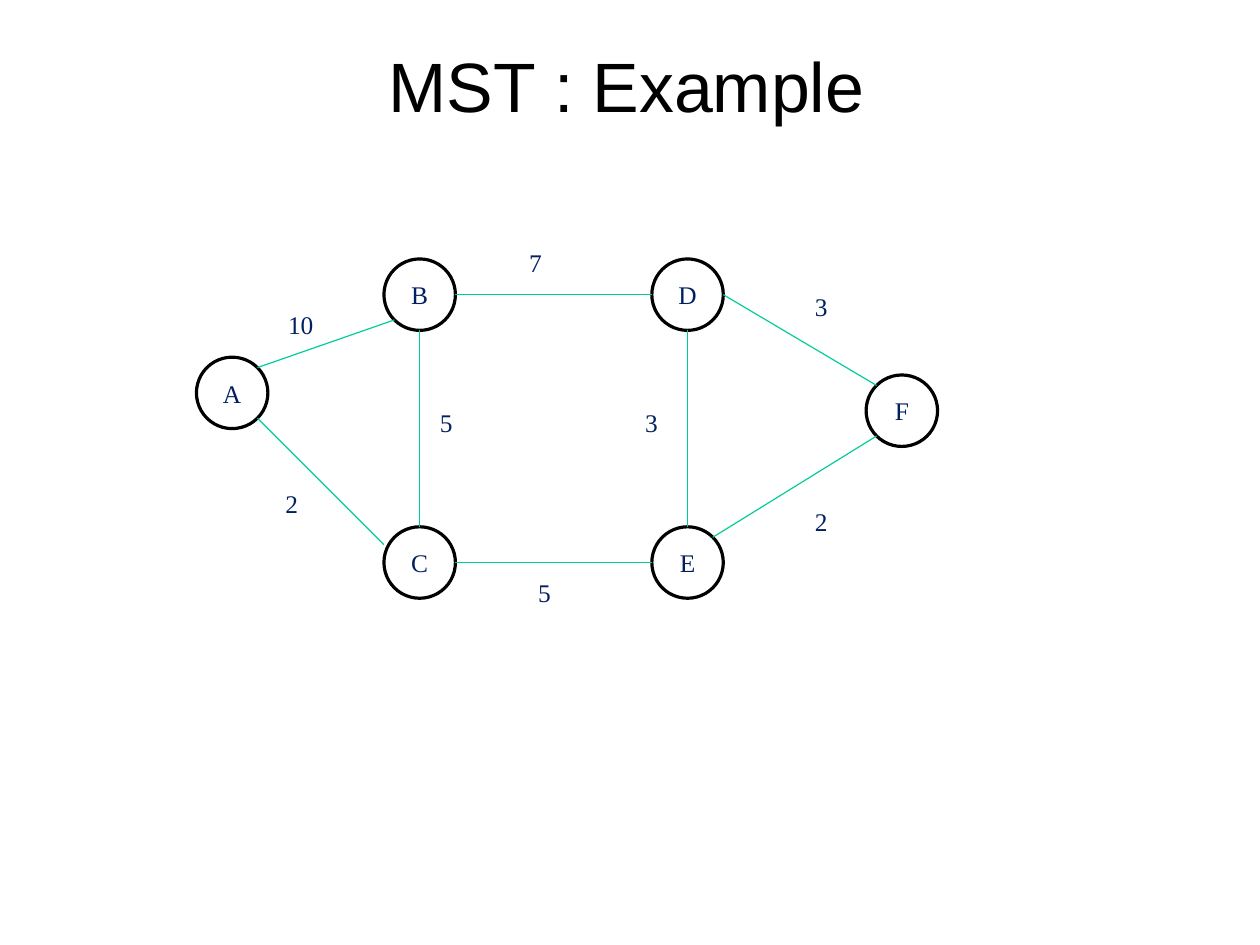
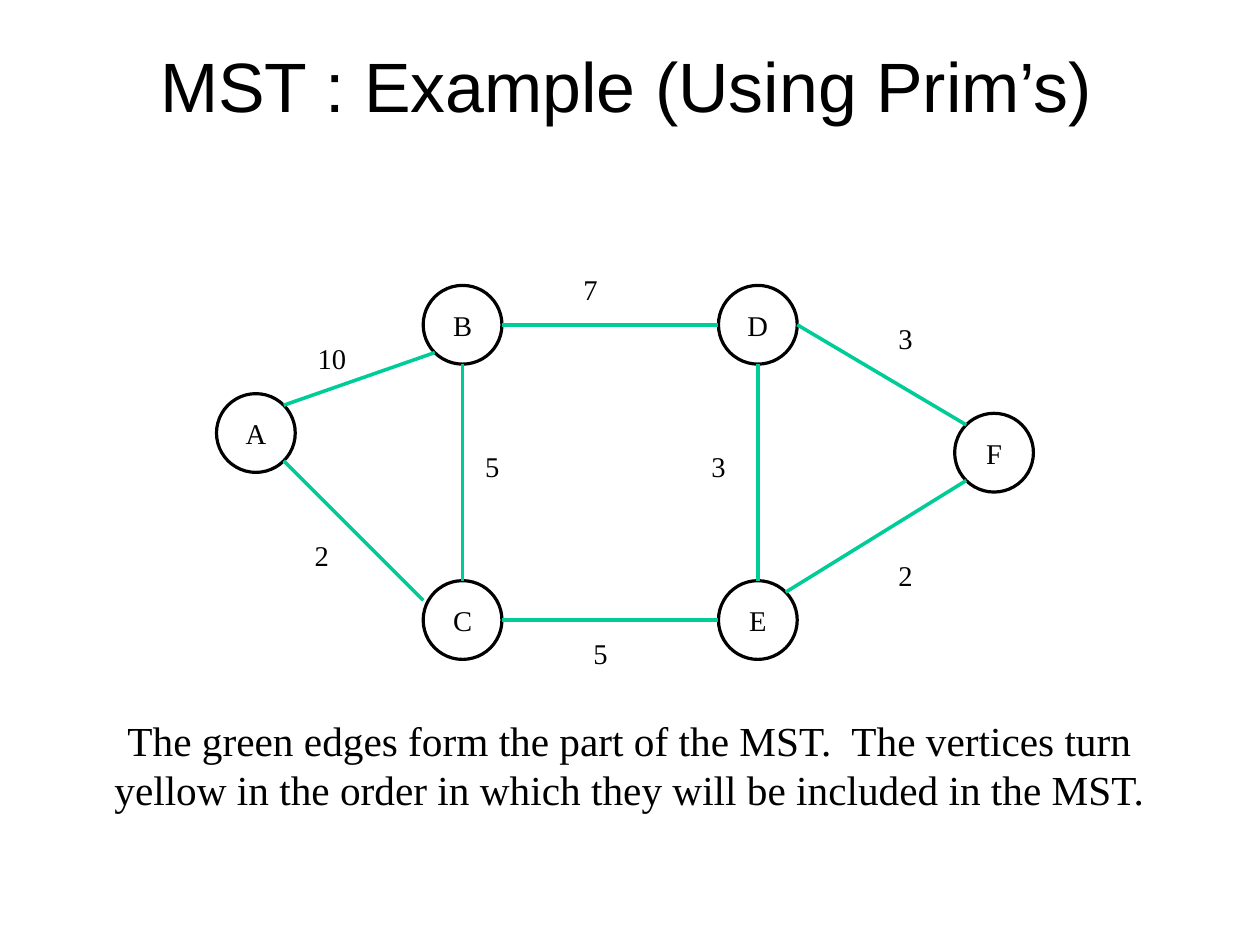
from dataclasses import dataclass
from math import sqrt
from lxml.etree import SubElement
from pptx import Presentation
from pptx.dml.color import RGBColor
from pptx.enum.shapes import MSO_CONNECTOR, MSO_SHAPE
from pptx.enum.text import MSO_ANCHOR, MSO_AUTO_SIZE, PP_ALIGN
from pptx.oxml.ns import qn
from pptx.util import Pt


@dataclass(frozen=True)
class Theme:
    black: RGBColor = RGBColor.from_string("000000")
    white: RGBColor = RGBColor.from_string("FFFFFF")
    navy: RGBColor = RGBColor.from_string("002060")
    green: RGBColor = RGBColor.from_string("00CC98")
    heading_font: str = "Arial"
    text_font: str = "Times New Roman"
    title_size: int = 44
    caption_size: int = 26
    small_graph_size: int = 16
    large_graph_size: int = 18
    vertex_outline: int = 2


theme = Theme()


def write(frame, text, *, size, color=theme.black, font=theme.text_font,
          align=PP_ALIGN.LEFT, anchor=MSO_ANCHOR.TOP, inset=(7.2, 3.6)):
    frame.word_wrap = True
    frame.auto_size = MSO_AUTO_SIZE.NONE
    frame.vertical_anchor = anchor
    frame.margin_left = frame.margin_right = Pt(inset[0])
    frame.margin_top = frame.margin_bottom = Pt(inset[1])
    paragraph = frame.paragraphs[0]
    paragraph.alignment = align
    run = paragraph.add_run()
    run.text = text
    run.font.size = Pt(size)
    run.font.name = font
    run.font.color.rgb = color


vertices = {"A": (22, 40), "B": (43, 29), "C": (43, 59),
            "E": (73, 59), "D": (73, 29), "F": (97, 42)}
vertex_span = 8
radius = vertex_span / 2
diagonal = radius / sqrt(2)
rim = {
    "top": (0, -radius), "bottom": (0, radius),
    "left": (-radius, 0), "right": (radius, 0),
    "top left": (-diagonal, -diagonal), "top right": (diagonal, -diagonal),
    "bottom left": (-diagonal, diagonal), "bottom right": (diagonal, diagonal),
    "upper left": (-radius, -radius / 2),
}
edges = [
    ("A", "top right", "B", "bottom left"),
    ("A", "bottom right", "C", "upper left"),
    ("B", "right", "D", "left"),
    ("D", "right", "F", "top left"),
    ("B", "bottom", "C", "top"),
    ("D", "bottom", "E", "top"),
    ("E", "top right", "F", "bottom left"),
    ("C", "right", "E", "left"),
]
weights = [("10", 31, 34, 6), ("2", 30.7, 54, 6), ("5", 48, 45, 4), ("7", 58, 27, 4),
           ("3", 71, 45, 4), ("3", 90, 32, 5), ("2", 90, 56, 4), ("5", 59, 64, 4)]
weight_height = 4.75

pages = [
    dict(title="MST : Example", diameter=45, size=theme.small_graph_size,
         color=theme.navy, edge_width=0.75, caption=None),
    dict(title="MST : Example (Using Prim’s)", diameter=49.6, size=theme.large_graph_size,
         color=theme.black, edge_width=2.25,
         caption="The green edges form the part of the MST.  The vertices turn yellow "
                 "in the order in which they will be included in the MST."),
]

deck = Presentation()
deck.slide_width, deck.slide_height = Pt(793.7), Pt(595.3)
title_only = deck.slide_layouts[5]

for page in pages:
    slide = deck.slides.add_slide(title_only)
    title = slide.shapes.title
    title.left, title.top, title.width, title.height = Pt(39.6), Pt(23.8), Pt(710.6), Pt(58.3)
    write(title.text_frame, page["title"], size=theme.title_size, font=theme.heading_font,
          align=PP_ALIGN.CENTER, anchor=MSO_ANCHOR.MIDDLE, inset=(0, 0))

    unit = page["diameter"] / vertex_span
    graph_text = dict(size=page["size"], color=page["color"],
                      inset=(1.28 * unit, 0.64 * unit))

    for letter, (x, y) in vertices.items():
        vertex = slide.shapes.add_shape(MSO_SHAPE.OVAL, Pt(x * unit), Pt(y * unit),
                                        Pt(page["diameter"]), Pt(page["diameter"]))
        vertex.shadow.inherit = False
        vertex.fill.solid()
        vertex.fill.fore_color.rgb = theme.white
        vertex.line.color.rgb = theme.black
        vertex.line.width = Pt(theme.vertex_outline)
        write(vertex.text_frame, letter, align=PP_ALIGN.CENTER,
              anchor=MSO_ANCHOR.MIDDLE, **graph_text)

    for start, start_side, end, end_side in edges:
        ends = [Pt((corner + radius + offset) * unit)
                for name, side in ((start, start_side), (end, end_side))
                for corner, offset in zip(vertices[name], rim[side])]
        edge = slide.shapes.add_connector(MSO_CONNECTOR.STRAIGHT, *ends)
        edge.line.color.rgb = theme.green
        edge.line.width = Pt(page["edge_width"])
        SubElement(edge._element.spPr, qn("a:effectLst"))

    for weight, x, y, width in weights:
        label = slide.shapes.add_textbox(Pt(x * unit), Pt(y * unit),
                                         Pt(width * unit), Pt(weight_height * unit))
        write(label.text_frame, weight, **graph_text)

    if page["caption"]:
        caption = slide.shapes.add_textbox(Pt(49.6), Pt(446.5), Pt(694.6), Pt(101.4))
        write(caption.text_frame, page["caption"], size=theme.caption_size,
              align=PP_ALIGN.CENTER, inset=(7.9, 4))

deck.save("out.pptx")
